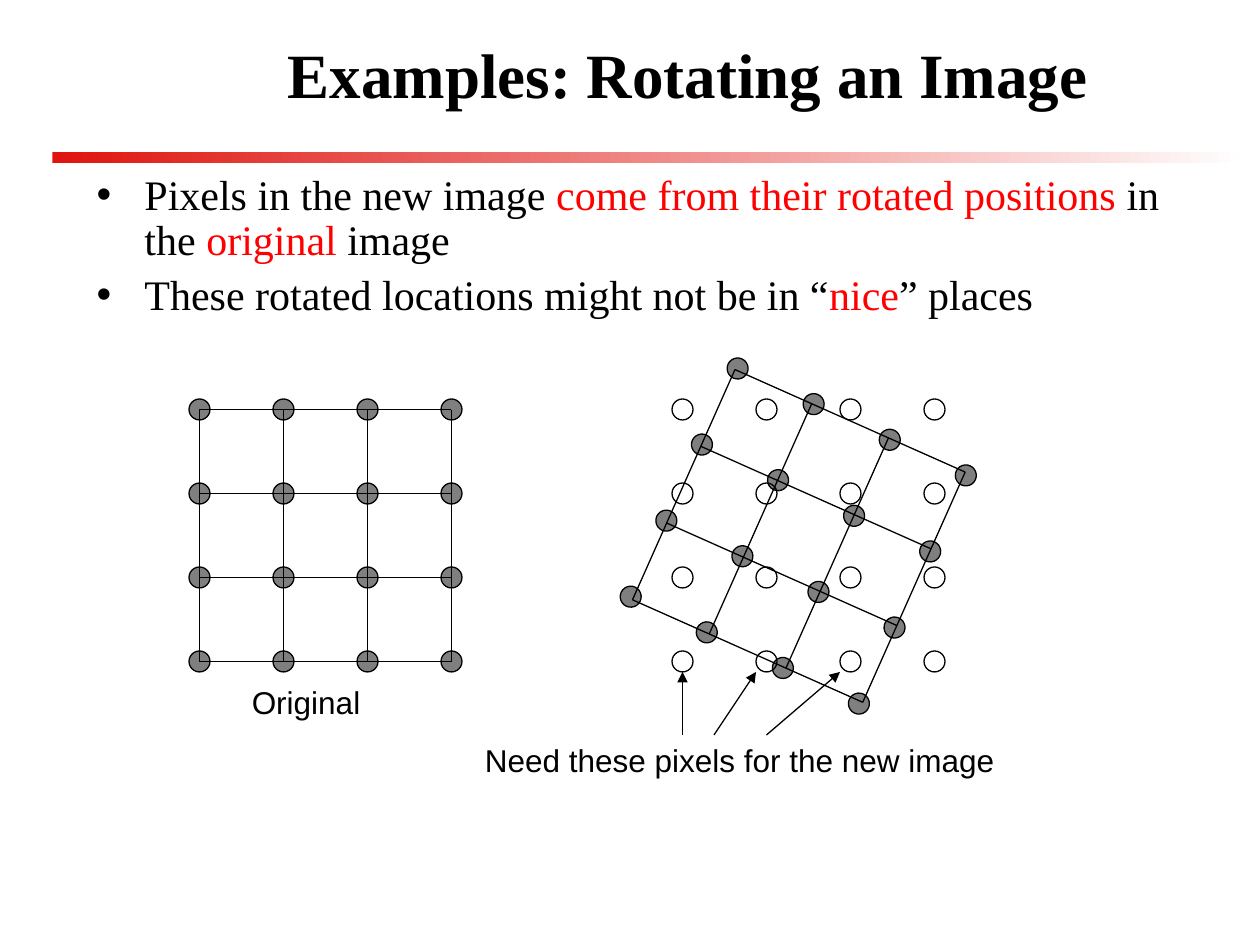
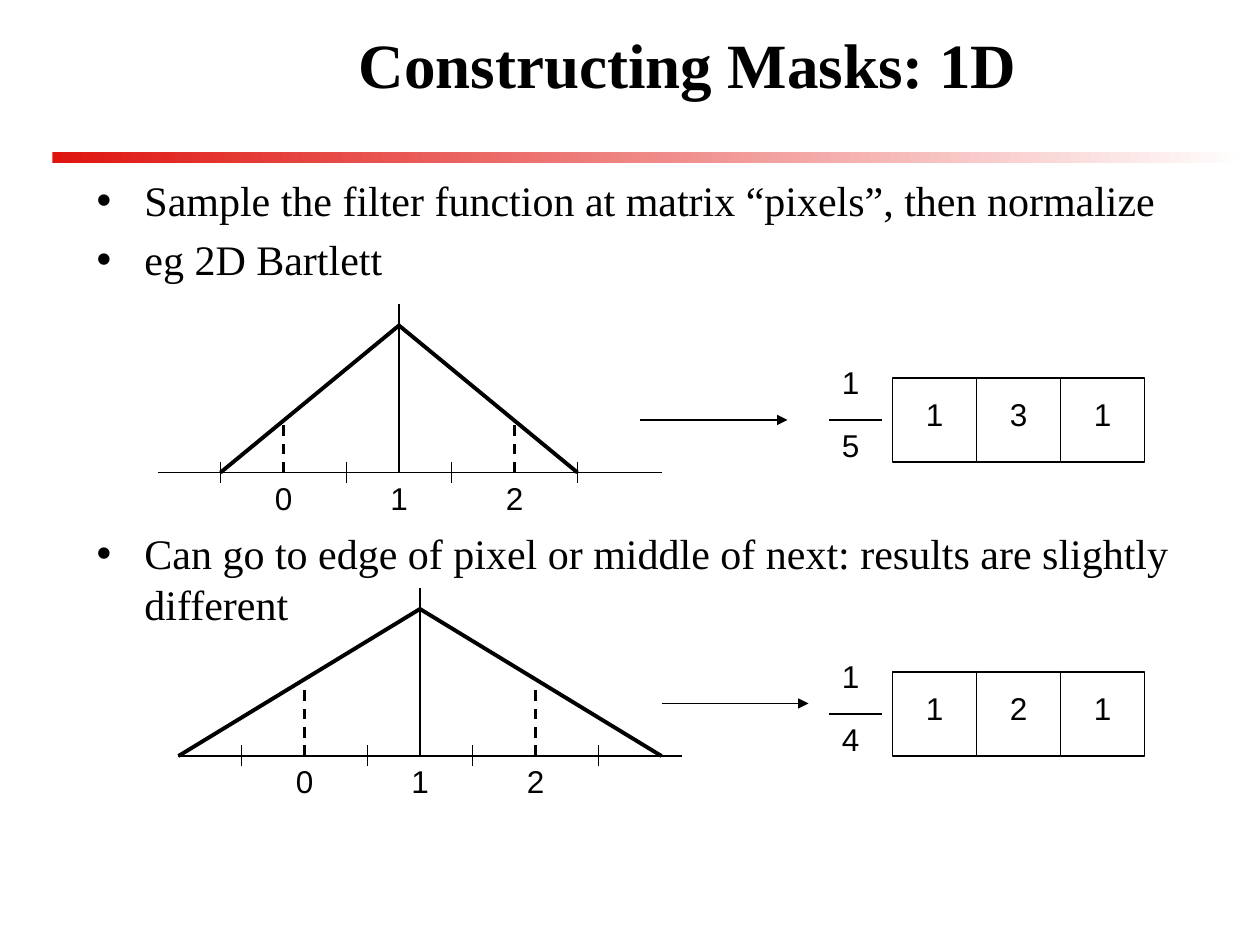
import math
from dataclasses import dataclass

import pptx
import pptx.dml.color
import pptx.enum.dml
import pptx.enum.shapes
import pptx.enum.text
import pptx.oxml.ns
import pptx.slide
import pptx.util
from lxml import etree

COLOURS = {"ink": "000000", "accent": "FF0000", "pixel": "7F7F7F",
           "band": "DF140F", "paper": "FFFFFF"}
SERIF, SANS = "Times New Roman", "Arial"
COLUMNS, ROWS = 120, 90  # the slide's grid, twelve units to the inch
UNIT = pptx.util.Inches(10) / COLUMNS
CELL = 8  # side of one pixel cell
DOT = 2  # diameter of one pixel mark
DIGIT_WIDTH, LABEL_HEIGHT = 4.4, 6

Slide = pptx.slide.Slide
Point = tuple[float, float]


@dataclass(frozen=True)
class Lattice:
    """Four by four points, turned clockwise about the first one."""
    left: float
    top: float
    angle: float = 0
    count: int = 4

    def point(self, column: int, row: int) -> Point:
        turn = math.radians(self.angle)
        across, down = column * CELL, row * CELL
        return (self.left + across * math.cos(turn) - down * math.sin(turn),
                self.top + across * math.sin(turn) + down * math.cos(turn))


@dataclass(frozen=True)
class TentFilter:
    """A triangle filter and the mask that its samples give."""
    centre: float
    base: float
    reach: float
    sample_height: float
    mask_top: float
    weights: tuple[int, ...]


@dataclass(frozen=True)
class Bullet:
    """Runs of (text, colour name)."""
    runs: tuple[tuple[str, str], ...]
    space_before: float = 5


def grid(value: float) -> int:
    return round(value * UNIT)


def colour(name: str) -> pptx.dml.color.RGBColor:
    return pptx.dml.color.RGBColor.from_string(COLOURS[name])


def write(para, text: str, *, size: float, font: str,
          ink: str = "ink", bold: bool = False) -> None:
    span = para.add_run()
    span.text = text
    span.font.size = pptx.util.Pt(size)
    span.font.name = font
    span.font.bold = bold
    span.font.color.rgb = colour(ink)


def place(box, left: float, top: float, width: float, height: float) -> None:
    box.left, box.top = grid(left), grid(top)
    box.width, box.height = grid(width), grid(height)


def draw_label(page: Slide, text: str, left: float, top: float,
               width: float = DIGIT_WIDTH) -> None:
    box = page.shapes.add_textbox(grid(left), grid(top), grid(width), grid(LABEL_HEIGHT))
    box.text_frame.word_wrap = True
    write(box.text_frame.paragraphs[0], text, size=18, font=SANS)


def draw_shape(page: Slide, kind, left: float, top: float, width: float,
               height: float, fill: str | None = None, angle: float = 0):
    shape = page.shapes.add_shape(kind, grid(left), grid(top), grid(width), grid(height))
    shape.shadow.inherit = False
    shape.rotation = angle
    if fill:
        shape.fill.solid()
        shape.fill.fore_color.rgb = colour(fill)
    else:
        shape.fill.background()
    shape.line.color.rgb = colour("ink")
    shape.line.width = pptx.util.Pt(0.75)
    return shape


def draw_line(page: Slide, start: Point, end: Point, width: float = 0.75,
              dashed: bool = False, arrow: bool = False) -> None:
    line = page.shapes.add_connector(
        pptx.enum.shapes.MSO_CONNECTOR.STRAIGHT, *map(grid, (*start, *end)))
    line.line.color.rgb = colour("ink")
    line.line.width = pptx.util.Pt(width)
    if dashed:
        line.line.dash_style = pptx.enum.dml.MSO_LINE.DASH
    if arrow:
        etree.SubElement(line.line._get_or_add_ln(),
                         pptx.oxml.ns.qn("a:tailEnd"), type="triangle")
    etree.SubElement(line._element.spPr, pptx.oxml.ns.qn("a:effectLst"))


def draw_dots(page: Slide, lattice: Lattice, fill: str | None = None) -> None:
    for column in range(lattice.count):
        for row in range(lattice.count):
            x, y = lattice.point(column, row)
            draw_shape(page, pptx.enum.shapes.MSO_SHAPE.OVAL, x - DOT / 2,
                       y - DOT / 2, DOT, DOT, fill, lattice.angle)


def draw_mesh(page: Slide, lattice: Lattice) -> None:
    last = lattice.count - 1
    for index in range(lattice.count):
        draw_line(page, lattice.point(0, index), lattice.point(last, index))
        draw_line(page, lattice.point(index, 0), lattice.point(index, last))


def draw_tent(page: Slide, tent: TentFilter) -> None:
    centre, base = tent.centre, tent.base
    peak = (centre, base - 14)
    draw_line(page, (centre - 23, base), (centre + 25, base))
    draw_line(page, (centre, base - 16), (centre, base))
    for side in (-1, 1):
        draw_line(page, (centre + side * tent.reach, base), peak, width=2.25)
    for offset in (-17, -5, 5, 17):
        draw_line(page, (centre + offset, base - 1), (centre + offset, base + 1))
    for index, height in enumerate((tent.sample_height, 14, tent.sample_height)):
        x = centre + 11 * (index - 1)
        draw_line(page, (x, base), (x, base - height), width=1.5, dashed=True)
        draw_label(page, str(index), x - 2, base)
    draw_line(page, (centre + 23, base - 5), (centre + 37, base - 5), arrow=True)


def draw_mask(page: Slide, top: float, weights: tuple[int, ...]) -> None:
    """Draw the weights in cells after one over their sum."""
    bar, cells, middle = 79, 85, top + CELL / 2
    for index, weight in enumerate(weights):
        left = cells + index * CELL
        draw_shape(page, pptx.enum.shapes.MSO_SHAPE.RECTANGLE, left, top, CELL, CELL)
        draw_label(page, str(weight), left + 2, top + 1)
    draw_line(page, (bar, middle), (bar + 5, middle))
    draw_label(page, "1", bar, middle - LABEL_HEIGHT)
    draw_label(page, str(sum(weights)), bar, middle)


def draw_band(page: Slide) -> None:
    band = draw_shape(page, pptx.enum.shapes.MSO_SHAPE.RECTANGLE, 5, 14.5, 114, 1)
    band.line.fill.background()
    band.fill.gradient()
    band.fill.gradient_angle = 0
    for stop, name in zip(band.fill.gradient_stops, ("band", "paper")):
        stop.color.rgb = colour(name)


def fill_body(body, bullets: list[Bullet], line_spacing: float) -> None:
    frame = body.text_frame
    frame.auto_size = pptx.enum.text.MSO_AUTO_SIZE.NONE
    frame.vertical_anchor = pptx.enum.text.MSO_ANCHOR.TOP
    for index, bullet in enumerate(bullets):
        para = frame.add_paragraph() if index else frame.paragraphs[0]
        properties = para._p.get_or_add_pPr()
        indent = pptx.util.Inches(0.38)
        properties.set("marL", str(indent))
        properties.set("indent", str(-indent))
        etree.SubElement(properties, pptx.oxml.ns.qn("a:buFont"), typeface=SANS)
        etree.SubElement(properties, pptx.oxml.ns.qn("a:buChar"), char="•")
        para.line_spacing = line_spacing
        para.space_before = pptx.util.Pt(bullet.space_before if index else 0)
        for text, ink in bullet.runs:
            write(para, text, size=24, font=SERIF, ink=ink)


def add_page(deck, title: str, title_top: float, bullets: list[Bullet],
             body_height: float, line_spacing: float = 1.0) -> Slide:
    page = deck.slides.add_slide(deck.slide_layouts[1])
    heading, body = page.shapes.title, page.placeholders[1]
    place(heading, 14, title_top, 103, 10)
    heading.text_frame.auto_size = pptx.enum.text.MSO_AUTO_SIZE.NONE
    heading.text_frame.vertical_anchor = pptx.enum.text.MSO_ANCHOR.MIDDLE
    para = heading.text_frame.paragraphs[0]
    para.alignment = pptx.enum.text.PP_ALIGN.CENTER
    write(para, title, size=36, font=SERIF, bold=True)
    place(body, 8, 16, 106, body_height)
    fill_body(body, bullets, line_spacing)
    draw_band(page)
    return page


def build_rotation_page(deck) -> None:
    page = add_page(deck, "Examples: Rotating an Image", 2, [
        Bullet((("Pixels in the new image ", "ink"),
                ("come from their rotated positions ", "accent"),
                ("in the ", "ink"), ("original", "accent"), (" image", "ink"))),
        Bullet((("These rotated locations might not be in “", "ink"),
                ("nice", "accent"), ("” places", "ink"))),
    ], body_height=13, line_spacing=0.9)
    source = Lattice(19, 39)
    draw_dots(page, source, "pixel")
    draw_dots(page, Lattice(70.25, 35.1, 25.1), "pixel")
    draw_dots(page, Lattice(65, 39))
    draw_label(page, "Original", 22.8, 64.5, 15.7)
    draw_label(page, "Need these pixels for the new image", 45, 70, 60.6)
    for start, end in ((65, 65), (68, 72), (73, 80)):
        draw_line(page, (start, 70), (end, 64), arrow=True)
    draw_mesh(page, source)
    draw_mesh(page, Lattice(70, 35.2, 24))


def build_mask_page(deck) -> None:
    page = add_page(deck, "Constructing Masks: 1D", 1, [
        Bullet((("Sample the filter function at matrix “pixels”, then normalize", "ink"),)),
        Bullet((("eg 2D Bartlett", "ink"),)),
        Bullet((("Can go to edge of pixel or middle of next: "
                 "results are slightly different", "ink"),), space_before=139.5),
    ], body_height=38)
    for tent in (TentFilter(38, 45, 17, 5, 36, (1, 3, 1)),
                 TentFilter(40, 72, 23, 7, 64, (1, 2, 1))):
        draw_tent(page, tent)
        draw_mask(page, tent.mask_top, tent.weights)


def main() -> None:
    deck = pptx.Presentation()
    deck.slide_width, deck.slide_height = grid(COLUMNS), grid(ROWS)
    build_rotation_page(deck)
    build_mask_page(deck)
    deck.save("out.pptx")


if __name__ == "__main__":
    main()
